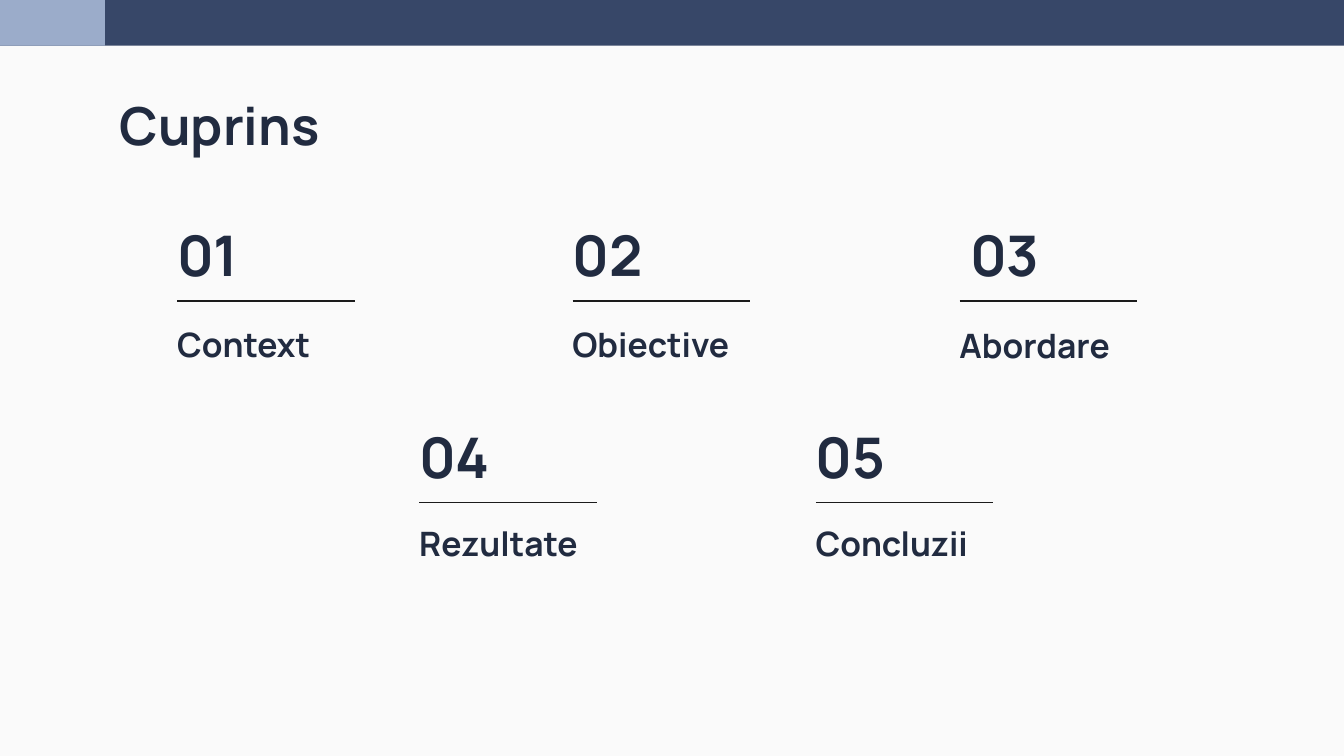
import dataclasses

import lxml.etree
import pptx
import pptx.dml.color
import pptx.enum.shapes
import pptx.enum.text
import pptx.oxml.ns
import pptx.util

Inches = pptx.util.Inches
Anchor = pptx.enum.text.MSO_ANCHOR


@dataclasses.dataclass(frozen=True)
class Theme:
    font: str = "Manrope"
    background: str = "FAFAFA"
    text: str = "212B40"
    rule: str = "1B1B1B"
    band: str = "374768"
    accent: str = "9BACCA"
    title_size: int = 28
    number_size: int = 30
    label_size: int = 18
    rule_width: float = 0.75


@dataclasses.dataclass(frozen=True)
class Section:
    number: str
    label: str
    left: float
    row_top: float
    label_top: float
    number_shift: float = 0


THEME = Theme()
SLIDE_WIDTH = 10
SLIDE_HEIGHT = SLIDE_WIDTH * 9 / 16
INSET = 0.1
RULE_DROP = 0.55
RULE_LENGTH = 1.32
FIRST_ROW, SECOND_ROW = 1.69, 3.19

SECTIONS = [
    Section("01", "Context", 1.22, FIRST_ROW, 2.32),
    Section("02", "Obiective", 4.16, FIRST_ROW, 2.32),
    Section("03", "Abordare", 7.04, FIRST_ROW, 2.33, number_shift=0.08),
    Section("04", "Rezultate", 3.02, SECOND_ROW, 3.8),
    Section("05", "Concluzii", 5.97, SECOND_ROW, 3.8),
]


def color(value: str) -> pptx.dml.color.RGBColor:
    return pptx.dml.color.RGBColor.from_string(value)


def set_attributes(target, values: dict) -> None:
    for name, value in values.items():
        setattr(target, name, value)


def write_text(shape, text: str, size: float, anchor) -> None:
    frame = shape.text_frame
    frame.text = text
    set_attributes(frame, {
        "word_wrap": True,
        "auto_size": pptx.enum.text.MSO_AUTO_SIZE.NONE,
        "vertical_anchor": anchor,
        "margin_left": Inches(INSET),
        "margin_right": Inches(INSET),
        "margin_top": Inches(INSET),
        "margin_bottom": Inches(INSET),
    })
    paragraph = frame.paragraphs[0]
    paragraph.alignment = pptx.enum.text.PP_ALIGN.LEFT
    font = paragraph.runs[0].font
    set_attributes(font, {"name": THEME.font, "size": pptx.util.Pt(size), "bold": True})
    font.color.rgb = color(THEME.text)


def add_band(slide, width: float, fill: str) -> None:
    shape = slide.shapes.add_shape(
        pptx.enum.shapes.MSO_SHAPE.RECTANGLE, 0, 0, Inches(width), Inches(0.34))
    shape.shadow.inherit = False
    shape.fill.solid()
    shape.fill.fore_color.rgb = color(fill)
    shape.line.fill.background()


def add_text(slide, text: str, left: float, top: float, width: float,
             height: float, size: float) -> None:
    box = slide.shapes.add_textbox(
        Inches(left), Inches(top), Inches(width), Inches(height))
    write_text(box, text, size, Anchor.BOTTOM)


def add_rule(slide, left: float, top: float) -> None:
    rule = slide.shapes.add_connector(
        pptx.enum.shapes.MSO_CONNECTOR.STRAIGHT,
        Inches(left), Inches(top), Inches(left + RULE_LENGTH), Inches(top))
    rule.line.color.rgb = color(THEME.rule)
    rule.line.width = pptx.util.Pt(THEME.rule_width)
    lxml.etree.SubElement(rule._element.spPr, pptx.oxml.ns.qn("a:effectLst"))


def add_section(slide, section: Section) -> None:
    add_text(slide, section.number, section.left + section.number_shift,
             section.row_top, 0.8, 0.55, THEME.number_size)
    add_text(slide, section.label, section.left, section.label_top,
             2.52, 0.49, THEME.label_size)
    add_rule(slide, section.left + INSET, section.row_top + RULE_DROP)


def main() -> None:
    presentation = pptx.Presentation()
    set_attributes(presentation, {"slide_width": Inches(SLIDE_WIDTH),
                                  "slide_height": Inches(SLIDE_HEIGHT)})
    slide = presentation.slides.add_slide(presentation.slide_layouts.get_by_name("Title Only"))
    slide.background.fill.solid()
    slide.background.fill.fore_color.rgb = color(THEME.background)

    # Header band with its accent corner
    add_band(slide, SLIDE_WIDTH, THEME.band)
    add_band(slide, 0.78, THEME.accent)

    # Title
    title = slide.shapes.title
    set_attributes(title, {"left": Inches(0.79), "top": Inches(0.59),
                           "width": Inches(8.43), "height": Inches(0.63)})
    write_text(title, "Cuprins", THEME.title_size, Anchor.TOP)

    # Numbered contents
    for section in SECTIONS:
        add_section(slide, section)

    presentation.save("out.pptx")


if __name__ == "__main__":
    main()
